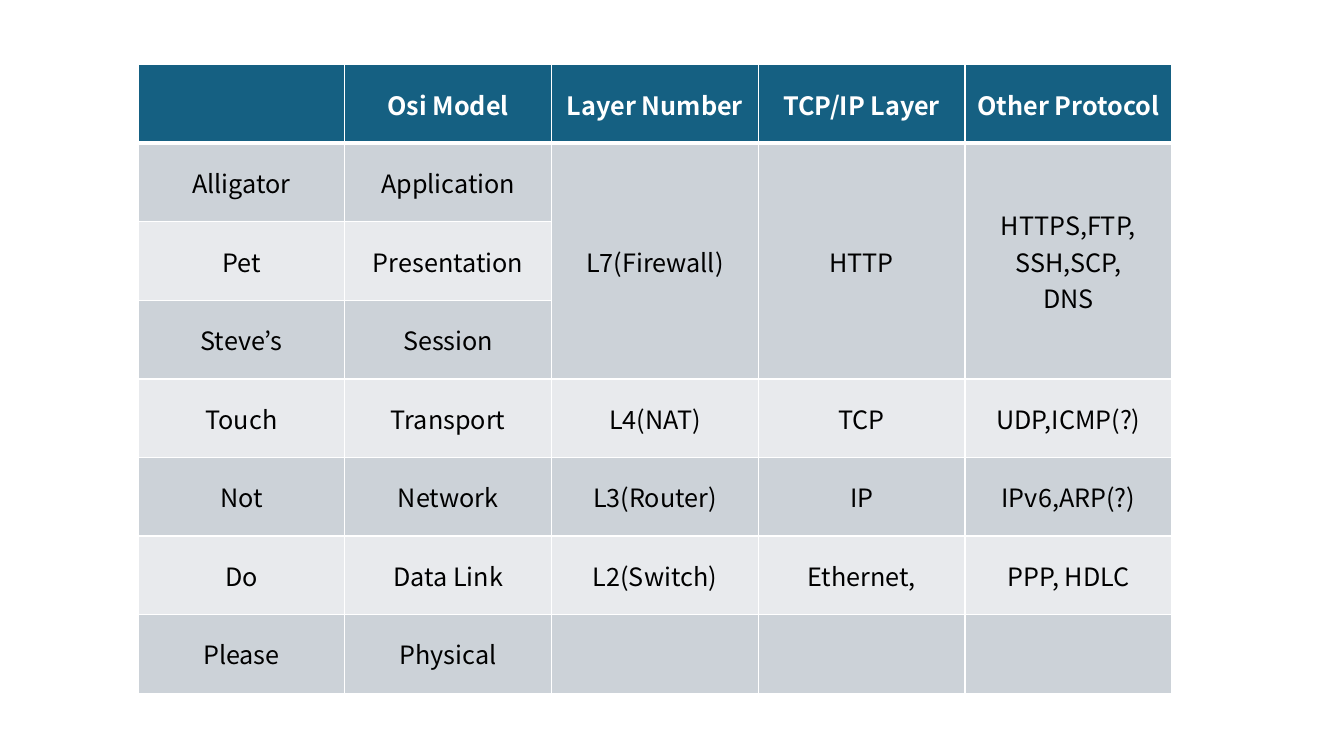
from lxml.etree import SubElement
from pptx import Presentation
from pptx.dml.color import RGBColor
from pptx.enum.text import MSO_ANCHOR, PP_ALIGN
from pptx.oxml.ns import qn
from pptx.util import Pt

HEADER = ["", "Osi Model", "Layer Number", "TCP/IP Layer", "Other Protocol"]
LAYERS = [
    ["Alligator", "Application", "L7(Firewall)", "HTTP", "HTTPS,FTP,\nSSH,SCP,\nDNS"],
    ["Pet", "Presentation", "", "", ""],
    ["Steve’s", "Session", "", "", ""],
    ["Touch", "Transport", "L4(NAT)", "TCP", "UDP,ICMP(?)"],
    ["Not", "Network", "L3(Router)", "IP", "IPv6,ARP(?)"],
    ["Do", "Data Link", "L2(Switch)", "Ethernet,", "PPP, HDLC"],
    ["Please", "Physical", "", "", ""],
]
MERGES = [((1, c), (3, c)) for c in (2, 3, 4)]


def rgb(value):
    return RGBColor.from_string(value)


class SlideBuilder:
    head_fill = "156082"
    bands = ("CCD2D8", "E8EAED")
    line = "FFFFFF"
    head_font = {"name": "Noto Sans CJK KR", "size": Pt(18), "bold": True}
    body_font = {**head_font, "bold": False}

    def __init__(self, prs):
        self.s = prs.slides.add_slide(prs.slide_layouts[6])

    def borders(self, cell, widths):
        tc_pr = cell._tc.get_or_add_tcPr()
        for side, width in widths.items():
            ln = SubElement(tc_pr, qn(f"a:ln{side}"), w=str(Pt(width)))
            fill = SubElement(ln, qn("a:solidFill"))
            SubElement(fill, qn("a:srgbClr"), val=self.line)

    def text(self, cell, text, font, color):
        cell.vertical_anchor = MSO_ANCHOR.MIDDLE
        tf = cell.text_frame
        tf.text = text
        for p in tf.paragraphs:
            p.alignment = PP_ALIGN.CENTER
            for r in p.runs:
                for key, value in font.items():
                    setattr(r.font, key, value)
                r.font.color.rgb = rgb(color)

    def table(self, rows, merges, left, top, col_width, row_height):
        n_rows, n_cols = len(rows), len(rows[0])
        sp = self.s.shapes.add_table(
            n_rows, n_cols, Pt(left), Pt(top),
            Pt(col_width * n_cols), Pt(row_height * n_rows))
        table = sp.table
        for col in table.columns:
            col.width = Pt(col_width)
        for i, row in enumerate(rows):
            table.rows[i].height = Pt(row_height)
            head = i == 0
            for j, text in enumerate(row):
                cell = table.cell(i, j)
                self.borders(cell, {"L": 1, "R": 1, "T": 3 if i == 1 else 1,
                                    "B": 3 if head else 1})
                cell.fill.solid()
                cell.fill.fore_color.rgb = rgb(
                    self.head_fill if head else self.bands[(i - 1) % 2])
                self.text(cell, text, self.head_font if head else self.body_font,
                          "FFFFFF" if head else "000000")
        for first, last in merges:
            table.cell(*first).merge(table.cell(*last))


def main():
    prs = Presentation()
    prs.slide_width, prs.slide_height = Pt(960), Pt(540)
    builder = SlideBuilder(prs)
    builder.table([HEADER, *LAYERS], MERGES, left=98.6, top=46.3,
                  col_width=147.7, row_height=56.1)
    prs.save("out.pptx")


if __name__ == "__main__":
    main()
